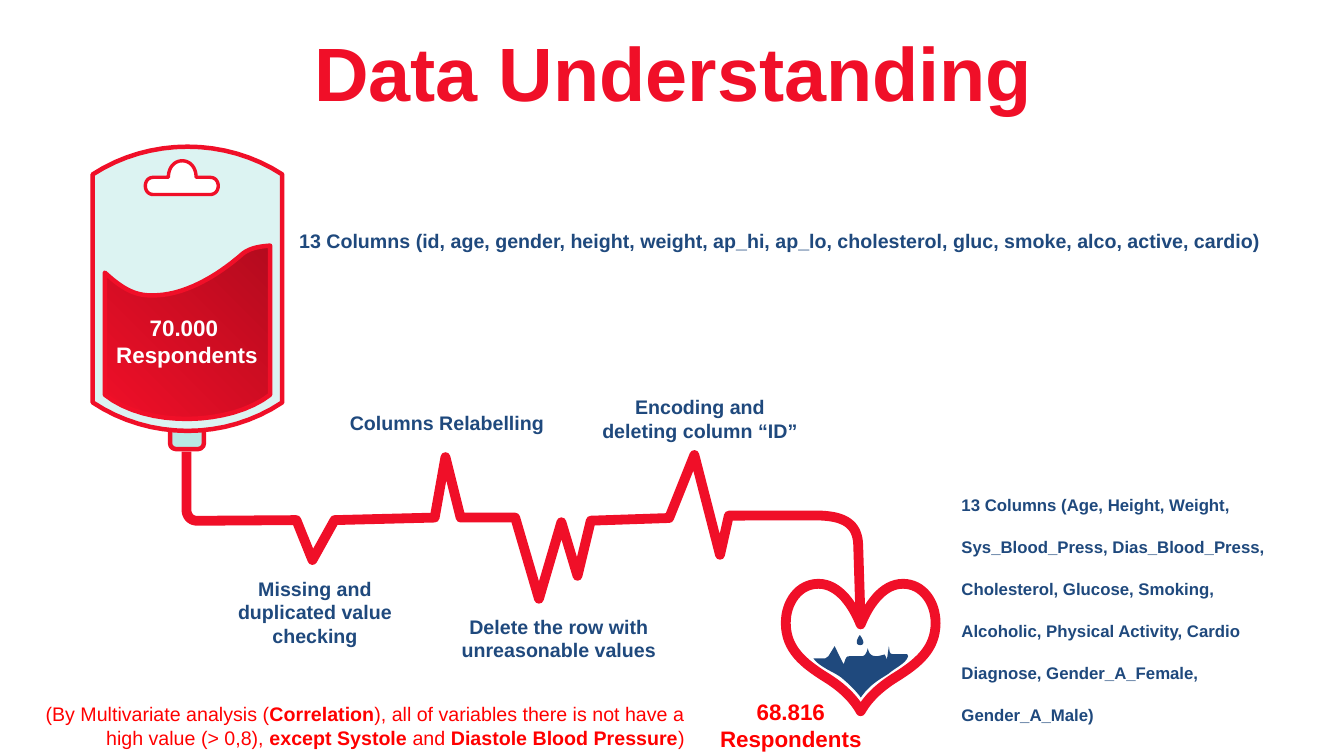
from pptx import Presentation
from pptx.dml.color import RGBColor
from pptx.enum.shapes import MSO_SHAPE
from pptx.enum.text import MSO_ANCHOR, MSO_AUTO_SIZE, PP_ALIGN
from pptx.oxml import parse_xml
from pptx.oxml.ns import nsdecls
from pptx.util import Pt

LEFT, CENTER, RIGHT = PP_ALIGN.LEFT, PP_ALIGN.CENTER, PP_ALIGN.RIGHT
TOP, MIDDLE = MSO_ANCHOR.TOP, MSO_ANCHOR.MIDDLE
GROW, FIXED = MSO_AUTO_SIZE.SHAPE_TO_FIT_TEXT, MSO_AUTO_SIZE.NONE
ROUNDED = MSO_SHAPE.ROUNDED_RECTANGLE

BLOOD_RED = RGBColor(0xF0, 0x0F, 0x28)
DARK_RED = RGBColor(0xB4, 0x0B, 0x1E)
BRIGHT_RED = RGBColor(0xFF, 0, 0)
NAVY = RGBColor(0x1F, 0x49, 0x7D)
POUCH_BLUE = RGBColor(0xDC, 0xF3, 0xF2)
CAP_BLUE = RGBColor(0xB8, 0xE8, 0xE5)
WHITE = RGBColor(0xFF, 0xFF, 0xFF)
FONT = "Arial"

# Content: words, with ** around bold parts
TITLE = "Data Understanding"
COLUMNS_BEFORE = ("13 Columns (id, age, gender, height, weight, ap_hi, ap_lo, "
                  "cholesterol, gluc, smoke, alco, active, cardio)")
COLUMNS_AFTER = ("13 Columns (Age, Height, Weight, Sys_Blood_Press, Dias_Blood_Press, "
                 "Cholesterol, Glucose, Smoking, Alcoholic, Physical Activity, "
                 "Cardio Diagnose, Gender_A_Female, Gender_A_Male)")
CORRELATION_NOTE = ("(By Multivariate analysis (**Correlation**), all of variables there is "
                    "not have a high value (> 0,8), **except Systole** and "
                    "**Diastole Blood Pressure**)")
RESPONDENTS = [  # text, left, top, colour
    ("70.000 \nRespondents", 68.4, 221, WHITE),
    ("68.816\nRespondents", 499.7, 495.4, BRIGHT_RED),
]
STEPS = [  # text, left, top, height
    ("Missing and duplicated value checking", 144, 408.2, 58.3),
    ("Columns Relabelling", 238.3, 290.2, 24.5),
    ("Delete the row with unreasonable values", 318.2, 435.6, 41),
    ("Encoding and deleting column “ID”", 419, 278.6, 41),
]

# Outlines in points: a pair is a corner, six numbers are a Bézier curve
PULSE = [
    (133.2, 322.6), (133.2, 364.5), (133.5, 369, 136.5, 372, 141, 372),
    (211.7, 371.5), (223.2, 400), (239, 371.5), (310.5, 369.7), (318.2, 326.5),
    (329, 369.7), (368, 369.7), (385, 427.7), (401, 373), (412.5, 411.3),
    (422, 371.9), (478, 370), (496, 325), (514.3, 396.3), (520.6, 368.3),
    (583, 368.2), (604, 368.2, 612.5, 375, 613, 389), (614.8, 446),
]
HEART_AXIS = 614.8
HEART_HALF = [
    (614.8, 446), (620, 433, 630, 417, 645, 417), (659, 417, 668.3, 430, 668.3, 445),
    (668.3, 464, 655, 474, 641, 483), (631, 489, 621, 497, 614.8, 508),
]
POUCH = [
    (66.2, 124.6), (107, 98.2, 161, 98.2, 201.6, 124.6),
    (201.6, 287.5), (161, 314.6, 107, 314.6, 66.2, 287.5),
]
HANGER_HOLE = [
    (109.6, 126.7), (120.3, 126.7), (120.3, 119.5, 124.7, 114.9, 130.2, 114.9),
    (135.7, 114.9, 140.1, 119.5, 140.1, 126.7), (150, 126.7),
    (157.9, 126.7, 157.9, 139, 150, 139), (109.6, 139),
    (101.9, 139, 101.9, 126.7, 109.6, 126.7),
]
BLOOD = [
    (74.9, 194.8), (84, 203, 94, 211, 107, 211), (131, 212, 155, 197, 172, 182.5),
    (177, 177.5, 185, 176, 193, 175.5), (193, 282), (165, 304, 105, 306, 74.9, 282),
]
WATER = [
    (648, 467.3), (641.5, 467.3), (635, 467.3, 635.8, 467.3, 635, 461.5),
    (633.6, 470.9), (632, 467.5), (627, 468.7), (623, 468.7, 621, 468, 619.9, 463),
    (619, 467, 617.5, 468.7, 615.6, 468.7), (608.4, 468.7),
    (604, 468.7, 604.8, 469, 602.6, 474.5), (596.2, 461.5), (591.8, 468.7),
    (589.7, 470.2), (581, 470.2), (586, 477, 596, 480, 601, 484),
    (606, 488, 612, 494, 614.9, 498.2), (622, 488, 630, 484.5, 635, 481),
    (641, 476, 647, 474, 648.7, 468.7),
]
DROP = [
    (614.2, 453.6), (611, 458, 611.5, 460.8, 614.4, 460.8),
    (617.5, 460.8, 617.5, 458, 614.2, 453.6),
]

prs = Presentation()
prs.slide_width, prs.slide_height = Pt(960), Pt(540)
slide = prs.slides.add_slide(prs.slide_layouts[6])


def flatten(outline, steps=16):
    """Turn corners and curves into a dense list of points."""
    points = [outline[0]]
    for part in outline[1:]:
        if len(part) == 2:
            points.append(part)
            continue
        curve = [points[-1], part[:2], part[2:4], part[4:]]
        for i in range(1, steps + 1):
            t = i / steps
            weights = ((1 - t) ** 3, 3 * t * (1 - t) ** 2, 3 * t * t * (1 - t), t ** 3)
            points.append(tuple(sum(w * p[axis] for w, p in zip(weights, curve))
                                for axis in (0, 1)))
    return points


def style(shape, fill=None, line=None, width=3.2):
    shape.shadow.inherit = False
    if fill is None:
        shape.fill.background()
    else:
        shape.fill.solid()
        shape.fill.fore_color.rgb = fill
    if line is None:
        shape.line.fill.background()
    else:
        shape.line.color.rgb = line
        shape.line.width = Pt(width)
        shape.line._get_or_add_ln().append(parse_xml(f"<a:round {nsdecls('a')}/>"))
    return shape


def draw(*contours, closed=True, **look):
    """Draw contours, in hundredths of a point, as one shape."""
    builder = None
    for contour in contours:
        points = [(round(x * 100), round(y * 100)) for x, y in contour]
        if builder is None:
            builder = slide.shapes.build_freeform(*points[0], scale=Pt(0.01))
        else:
            builder.move_to(*points[0])
        builder.add_line_segments(points[1:], close=closed)
    return style(builder.convert_to_shape(), **look)


def add_text(text, left, top, width, height, size=14, color=NAVY, bold=True,
             align=CENTER, anchor=TOP, fit=GROW, spacing=None, before=0):
    frame = slide.shapes.add_textbox(Pt(left), Pt(top), Pt(width), Pt(height)).text_frame
    frame.word_wrap, frame.auto_size, frame.vertical_anchor = True, fit, anchor
    for n, row in enumerate(text.split("\n")):
        paragraph = frame.add_paragraph() if n else frame.paragraphs[0]
        paragraph.alignment, paragraph.space_before = align, Pt(before)
        if spacing:
            paragraph.line_spacing = spacing
        for i, piece in enumerate(row.split("**")):
            run = paragraph.add_run()
            run.text = piece
            run.font.name, run.font.size = FONT, Pt(size)
            run.font.bold = bold or i % 2 == 1
            run.font.color.rgb = color


# Title
add_text(TITLE, 25.2, 26.6, 911.5, 56.9, size=54, color=BLOOD_RED,
         anchor=MIDDLE, fit=FIXED, spacing=0.9, before=10)

# Pulse line ending in the heart
right_half = flatten(HEART_HALF)
left_half = [(2 * HEART_AXIS - x, y) for x, y in reversed(right_half)]
draw(flatten(PULSE), right_half + left_half[1:], closed=False, line=BLOOD_RED, width=7)

# Blood bag
cap = slide.shapes.add_shape(ROUNDED, Pt(121.5), Pt(300), Pt(24.2), Pt(20.8))
cap.adjustments[0] = 0.2
style(cap, fill=CAP_BLUE, line=BLOOD_RED)
draw(flatten(POUCH), fill=POUCH_BLUE, line=BLOOD_RED)
draw(flatten(HANGER_HOLE), fill=WHITE, line=BLOOD_RED, width=2.4)
blood = draw(flatten(BLOOD), line=BLOOD_RED)
blood.fill.gradient()
blood.fill.gradient_angle = 45
for stop, color in zip(blood.fill.gradient_stops, (BLOOD_RED, DARK_RED)):
    stop.color.rgb = color

# Water and drop in the heart
for outline in (WATER, DROP):
    draw(flatten(outline), fill=NAVY)

# Labels
for step, left, top, height in STEPS:
    add_text(step, left, top, 162, height)
for count, left, top, color in RESPONDENTS:
    add_text(count, left, top, 130.3, 46, size=16, color=color)
for columns, box, size in ((COLUMNS_BEFORE, (206.6, 146.9, 730, 37.4), 14),
                           (COLUMNS_AFTER, (679.7, 336.2, 243.4, 183.6), 12)):
    add_text(columns, *box, size=size, align=LEFT, anchor=MIDDLE, fit=FIXED,
             spacing=Pt(30), before=size * 0.2)
add_text(CORRELATION_NOTE, -3.6, 498.2, 499.7, 41, color=BRIGHT_RED, bold=False, align=RIGHT)

prs.save("out.pptx")
